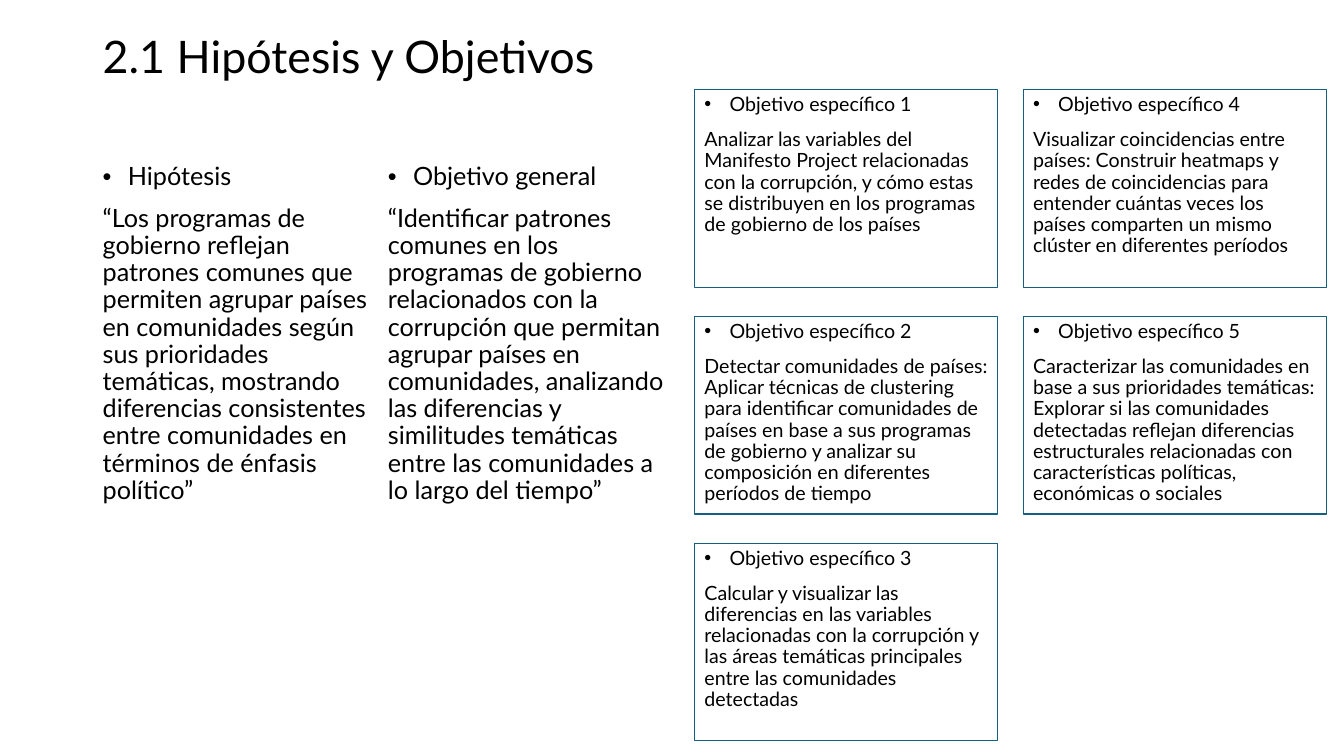
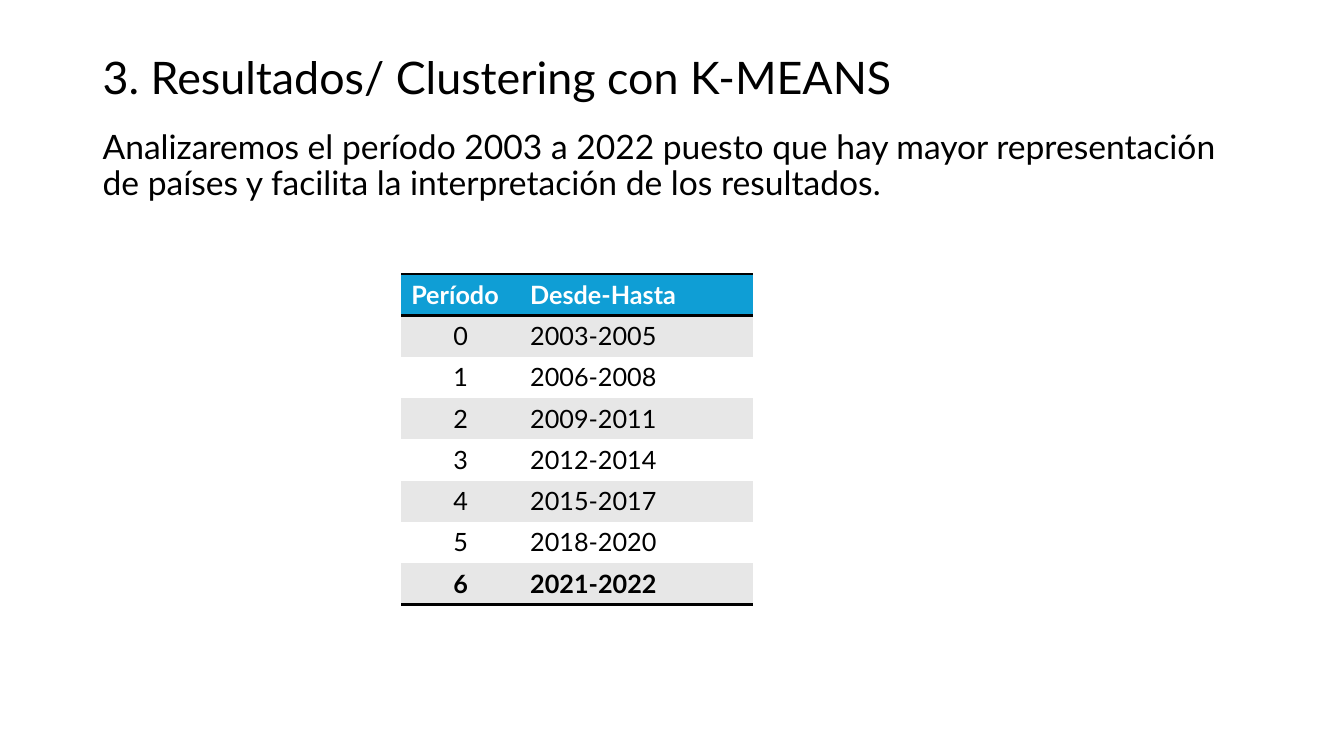
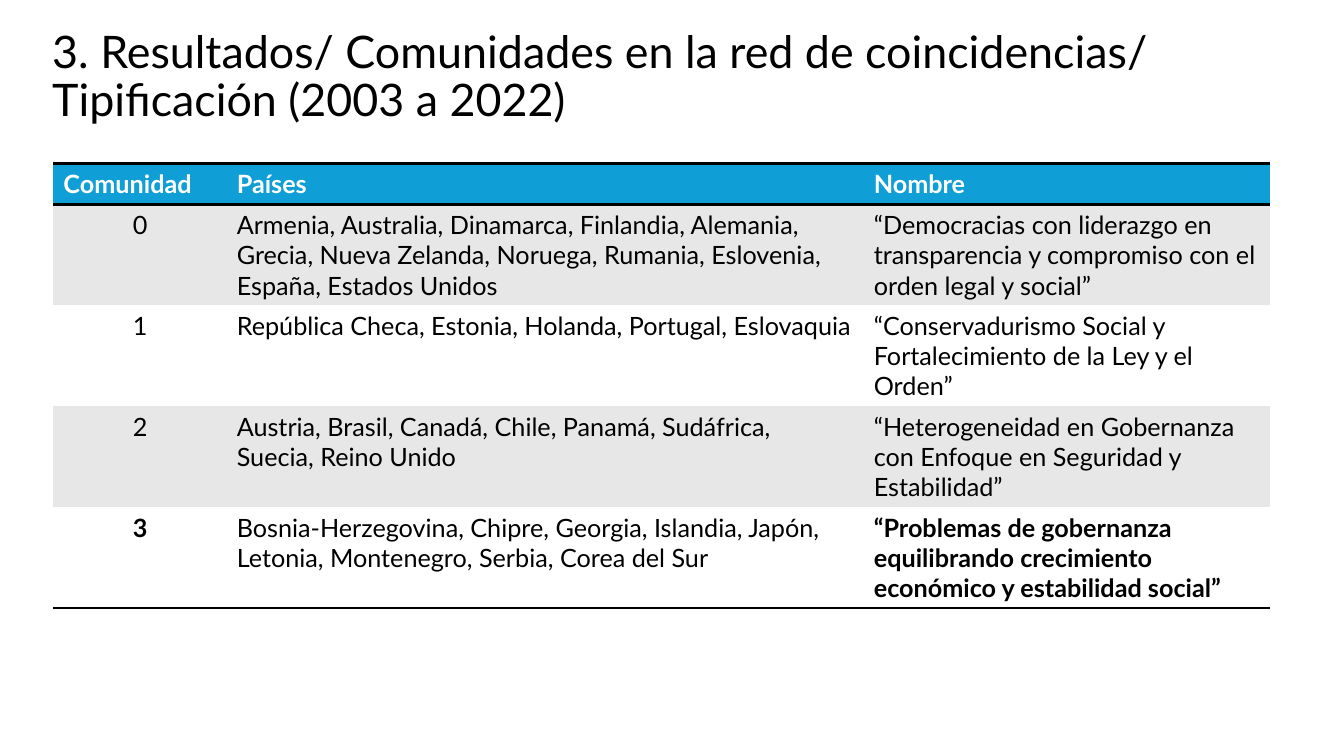
from lxml import etree
from pptx import Presentation
from pptx.dml.color import RGBColor
from pptx.enum.shapes import MSO_SHAPE
from pptx.enum.text import MSO_ANCHOR, PP_ALIGN
from pptx.oxml.ns import qn
from pptx.util import Pt

PX = 9144
BLACK = RGBColor(0x00, 0x00, 0x00)
WHITE = RGBColor(0xFF, 0xFF, 0xFF)
GREY = RGBColor(0xE7, 0xE7, 0xE7)
BLUE = RGBColor(0x0F, 0x9E, 0xD5)
TEAL = RGBColor(0x15, 0x60, 0x82)
FONT = "Lato"
RECT = MSO_SHAPE.RECTANGLE
TOP, MIDDLE = MSO_ANCHOR.TOP, MSO_ANCHOR.MIDDLE
LEFT, CENTER = PP_ALIGN.LEFT, PP_ALIGN.CENTER
PLAIN = "{2D5ABB26-0587-4C30-8999-92F81FD0307C}"


def write(shape, size, text, head=None, anchor=TOP):
    frame = shape.text_frame
    frame.word_wrap = True
    frame.vertical_anchor = anchor
    lines = [head, text] if head else [text]
    for i, line in enumerate(lines):
        para = frame.paragraphs[0] if i == 0 else frame.add_paragraph()
        para.alignment = LEFT
        if head and i == 0:
            props = para._p.get_or_add_pPr()
            props.set("marL", str(25 * PX))
            props.set("indent", str(-25 * PX))
            etree.SubElement(props, qn("a:buFont")).set("typeface", "Arial")
            etree.SubElement(props, qn("a:buChar")).set("char", "•")
        para.line_spacing = 0.9
        if i:
            para.space_before = Pt(10)
        run = para.add_run()
        run.text = line
        run.font.name = FONT
        run.font.size = Pt(size)
        run.font.color.rgb = BLACK


def grid(slide, left, top, cols, highs, rows, strong):
    frame = slide.shapes.add_table(len(rows), len(cols), left * PX, top * PX,
                                   sum(cols) * PX, sum(highs) * PX)
    table = frame.table
    table._tbl.tblPr.find(qn("a:tableStyleId")).text = PLAIN
    last = len(rows) - 1
    for c, wide in enumerate(cols):
        table.columns[c].width = wide * PX
    for r, row in enumerate(rows):
        table.rows[r].height = highs[r] * PX
        sides = ["lnT", "lnB"] if r == 0 else ["lnB"] if r == last else []
        for c, text in enumerate(row):
            cell = table.cell(r, c)
            props = cell._tc.get_or_add_tcPr()
            for side in sides:
                edge = etree.SubElement(props, qn("a:" + side), w=str(Pt(2)))
                fill = etree.SubElement(edge, qn("a:solidFill"))
                etree.SubElement(fill, qn("a:srgbClr")).set("val", str(BLACK))
            cell.fill.solid()
            cell.fill.fore_color.rgb = BLUE if r == 0 else GREY if r % 2 else WHITE
            para = cell.text_frame.paragraphs[0]
            para.alignment = CENTER if r and c == 0 else LEFT
            run = para.add_run()
            run.text = text
            run.font.name = FONT
            run.font.size = Pt(18)
            run.font.bold = r == 0 or (r == last and c in strong)
            run.font.color.rgb = BLACK if r else WHITE


deck = Presentation()
deck.slide_width = 12192000
deck.slide_height = 750 * PX

titles = [
    ("2.1 Hipótesis y Objetivos", 92, 1150, 74),
    ("3. Resultados/ Clustering con K-MEANS", 92, 1150, 115),
    ("3. Resultados/ Comunidades en la red de coincidencias/ Tipificación (2003 a 2022)",
     42, 1217, 111),
]
slides = []
for text, left, wide, high in titles:
    slide = deck.slides.add_slide(deck.slide_layouts[6])
    box = slide.shapes.add_textbox(left * PX, 22 * PX, wide * PX, high * PX)
    write(box, 32, text, anchor=MIDDLE)
    slides.append(slide)
goals, periods, groups = slides

claims = [
    ("Hipótesis",
     "“Los programas de gobierno reflejan patrones comunes que permiten agrupar países "
     "en comunidades según sus prioridades temáticas, mostrando diferencias consistentes "
     "entre comunidades en términos de énfasis político”"),
    ("Objetivo general",
     "“Identificar patrones comunes en los programas de gobierno relacionados con la "
     "corrupción que permitan agrupar países en comunidades, analizando las diferencias y "
     "similitudes temáticas entre las comunidades a lo largo del tiempo”"),
]
for i, (head, text) in enumerate(claims):
    box = goals.shapes.add_textbox((92 + 283 * i) * PX, 158 * PX, 301 * PX, 397 * PX)
    write(box, 18, text, head)

aims = [
    "Analizar las variables del Manifesto Project relacionadas con la corrupción, y cómo "
    "estas se distribuyen en los programas de gobierno de los países",
    "Detectar comunidades de países: Aplicar técnicas de clustering para identificar "
    "comunidades de países en base a sus programas de gobierno y analizar su composición "
    "en diferentes períodos de tiempo",
    "Calcular y visualizar las diferencias en las variables relacionadas con la corrupción "
    "y las áreas temáticas principales entre las comunidades detectadas",
    "Visualizar coincidencias entre países: Construir heatmaps y redes de coincidencias "
    "para entender cuántas veces los países comparten un mismo clúster en diferentes períodos",
    "Caracterizar las comunidades en base a sus prioridades temáticas: Explorar si las "
    "comunidades detectadas reflejan diferencias estructurales relacionadas con "
    "características políticas, económicas o sociales",
]
for i, text in enumerate(aims):
    col, row = divmod(i, 3)
    card = goals.shapes.add_shape(RECT, (689 + 326 * col) * PX, (89 + 225 * row) * PX,
                                  301 * PX, 196 * PX)
    card.shadow.inherit = False
    card.fill.background()
    card.line.color.rgb = TEAL
    card.line.width = Pt(0.75)
    write(card, 14, text, f"Objetivo específico {i + 1}")

spans = [("Período", "Desde-Hasta")]
for i in range(7):
    start = 2003 + 3 * i
    spans.append((str(i), f"{start}-{min(start + 2, 2022)}"))
grid(periods, 398, 272, [118, 231], [41] * 8, spans, {0, 1})
box = periods.shapes.add_textbox(92 * PX, 118 * PX, 1150 * PX, 94 * PX)
write(box, 24, "Analizaremos el período 2003 a 2022 puesto que hay mayor representación "
      "de países y facilita la interpretación de los resultados.", anchor=MIDDLE)

kinds = [
    ("Comunidad", "Países", "Nombre"),
    ("0", "Armenia, Australia, Dinamarca, Finlandia, Alemania, Grecia, Nueva Zelanda, "
     "Noruega, Rumania, Eslovenia, España, Estados Unidos",
     "“Democracias con liderazgo en transparencia y compromiso con el orden legal y social”"),
    ("1", "República Checa, Estonia, Holanda, Portugal, Eslovaquia",
     "“Conservadurismo Social y Fortalecimiento de la Ley y el Orden”"),
    ("2", "Austria, Brasil, Canadá, Chile, Panamá, Sudáfrica, Suecia, Reino Unido",
     "“Heterogeneidad en Gobernanza con Enfoque en Seguridad y Estabilidad”"),
    ("3", "Bosnia-Herzegovina, Chipre, Georgia, Islandia, Japón, Letonia, Montenegro, "
     "Serbia, Corea del Sur",
     "“Problemas de gobernanza equilibrando crecimiento económico y estabilidad social”"),
]
grid(groups, 53, 162, [172, 632, 403], [41] + [100] * 4, kinds, {0, 2})

deck.save("out.pptx")
